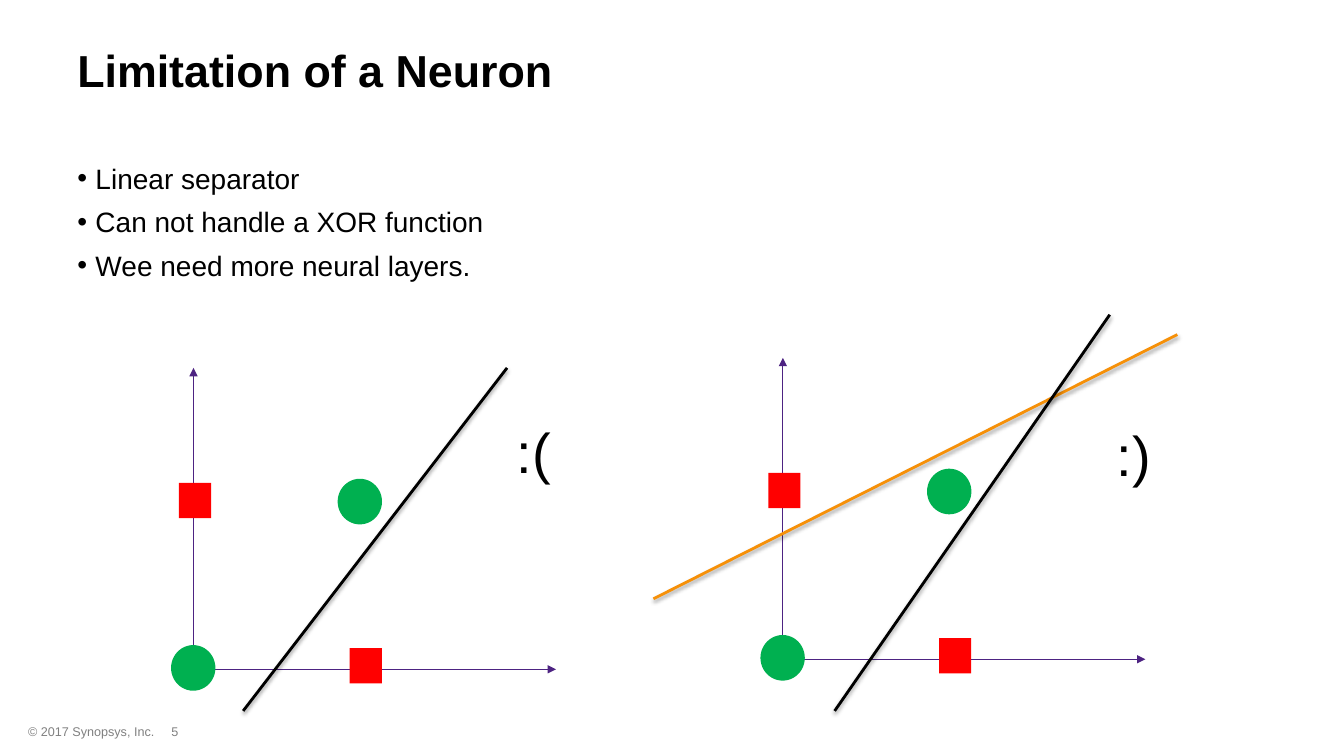
from lxml import etree
from pptx import Presentation
from pptx.dml.color import RGBColor
from pptx.enum import shapes, text
from pptx.oxml.ns import qn
from pptx.util import Pt

TITLE = "Limitation of a Neuron"
BULLETS = ["Linear separator", "Can not handle a XOR function",
           "Wee need more neural layers."]
FONT = "Arial"
COLORS = {"text": "000000", "footer": "808080", "axis": "4D2382",
          "circle": "00B050", "square": "FF0000", "orange": "F69008"}

# Text boxes: wording, (left, top, width, height), size, colour, alignment
LEFT, CENTER = text.PP_ALIGN.LEFT, text.PP_ALIGN.CENTER
FOOTERS = [
    ("© 2017 Synopsys, Inc.", (13, 513.4, 296, 18), 9, "footer", LEFT),
    ("5", (91.4, 513.4, 67, 18), 9, "footer", CENTER),
]
FACES = [
    (":(", (362.2, 294.5, 50.4, 55.4), 40, "text", LEFT),
    (":)", (790.6, 296.6, 50.4, 55.4), 40, "text", LEFT),
]

# Each plot: origin of the axes, then separators as (colour, start, end)
PLOTS = [
    ((138.2, 478.1), [("text", (173.7, 507.8), (362.2, 262.8))]),
    ((559.2, 470.9), [("orange", (466.8, 427.7), (841, 239)),
                      ("text", (596.2, 507.8), (792.7, 224.8))]),
]

# Offsets from the plot origin
AXIS_ENDS = [(0, -215.3), (259, 0)]
OVAL, RECT = shapes.MSO_SHAPE.OVAL, shapes.MSO_SHAPE.RECTANGLE
MARKERS = [
    (OVAL, "circle", (-16, -17.3), (31.7, 32.6)),
    (OVAL, "circle", (103, -136.1), (31.7, 32.6)),
    (RECT, "square", (-10.4, -133.2), (23, 25.2)),
    (RECT, "square", (111.6, -15.1), (23, 25.2)),
]


def rgb(name):
    return RGBColor.from_string(COLORS[name])


def points(*values):
    return [Pt(v) for v in values]


def place(sp, box):
    sp.left, sp.top, sp.width, sp.height = points(*box)


def add_run(p, words, size, color, bold=False):
    r = p.add_run()
    r.text = words
    r.font.name, r.font.size, r.font.bold = FONT, Pt(size), bold
    r.font.color.rgb = rgb(color)


def add_label(slide, words, box, size, color, align):
    tf = slide.shapes.add_textbox(*points(*box)).text_frame
    tf.word_wrap = True
    p = tf.paragraphs[0]
    p.alignment = align
    add_run(p, words, size, color)


def add_line(slide, start, end, color, width):
    """Add a straight line and return it with an empty effect list."""
    line = slide.shapes.add_connector(
        shapes.MSO_CONNECTOR.STRAIGHT, *points(*start, *end))
    line.line.color.rgb = rgb(color)
    line.line.width = Pt(width)
    effects = etree.SubElement(line._element.spPr, qn("a:effectLst"))
    return line, effects


def add_axis(slide, start, end):
    line, _ = add_line(slide, start, end, "axis", 0.75)
    etree.SubElement(line.line._get_or_add_ln(), qn("a:tailEnd"), type="triangle")


def add_separator(slide, color, start, end):
    _, effects = add_line(slide, start, end, color, 2)
    shadow = etree.SubElement(
        effects, qn("a:outerShdw"), blurRad=str(int(Pt(3.1))),
        dist=str(int(Pt(1.6))), dir="5400000", rotWithShape="0")
    clr = etree.SubElement(shadow, qn("a:srgbClr"), val=COLORS["text"])
    etree.SubElement(clr, qn("a:alpha"), val="38000")


def add_plot(slide, origin, separators):
    def shift(offset):
        return origin[0] + offset[0], origin[1] + offset[1]

    for end in AXIS_ENDS:
        add_axis(slide, origin, shift(end))
    for kind, color, offset, size in MARKERS:
        sp = slide.shapes.add_shape(kind, *points(*shift(offset), *size))
        sp.shadow.inherit = False
        sp.fill.solid()
        sp.fill.fore_color.rgb = rgb(color)
        sp.line.fill.background()
    for separator in separators:
        add_separator(slide, *separator)


def fill_title(sp):
    place(sp, (48, 5, 912, 90))
    tf = sp.text_frame
    tf.auto_size = text.MSO_AUTO_SIZE.NONE
    tf.vertical_anchor = text.MSO_ANCHOR.MIDDLE
    p = tf.paragraphs[0]
    p.alignment = LEFT
    add_run(p, TITLE, 32, "text", bold=True)


def fill_body(sp):
    place(sp, (48, 111.6, 864, 381.6))
    tf = sp.text_frame
    tf.auto_size = text.MSO_AUTO_SIZE.NONE
    for i, words in enumerate(BULLETS):
        p = tf.add_paragraph() if i else tf.paragraphs[0]
        p.space_before = Pt(7 if i else 0)
        pPr = p._p.get_or_add_pPr()
        pPr.set("marL", str(int(Pt(13))))
        pPr.set("indent", str(int(Pt(-13))))
        bullet_color = etree.SubElement(pPr, qn("a:buClr"))
        etree.SubElement(bullet_color, qn("a:srgbClr"), val=COLORS["text"])
        etree.SubElement(pPr, qn("a:buFont"), typeface=FONT)
        etree.SubElement(pPr, qn("a:buChar"), char="•")
        add_run(p, words, 20, "text")


def main():
    prs = Presentation()
    prs.slide_width, prs.slide_height = points(960, 540)
    slide = prs.slides.add_slide(prs.slide_layouts[1])
    fill_title(slide.shapes.title)
    fill_body(slide.placeholders[1])
    for footer in FOOTERS:
        add_label(slide, *footer)
    for origin, separators in PLOTS:
        add_plot(slide, origin, separators)
    for face in FACES:
        add_label(slide, *face)
    prs.save("out.pptx")


if __name__ == "__main__":
    main()
